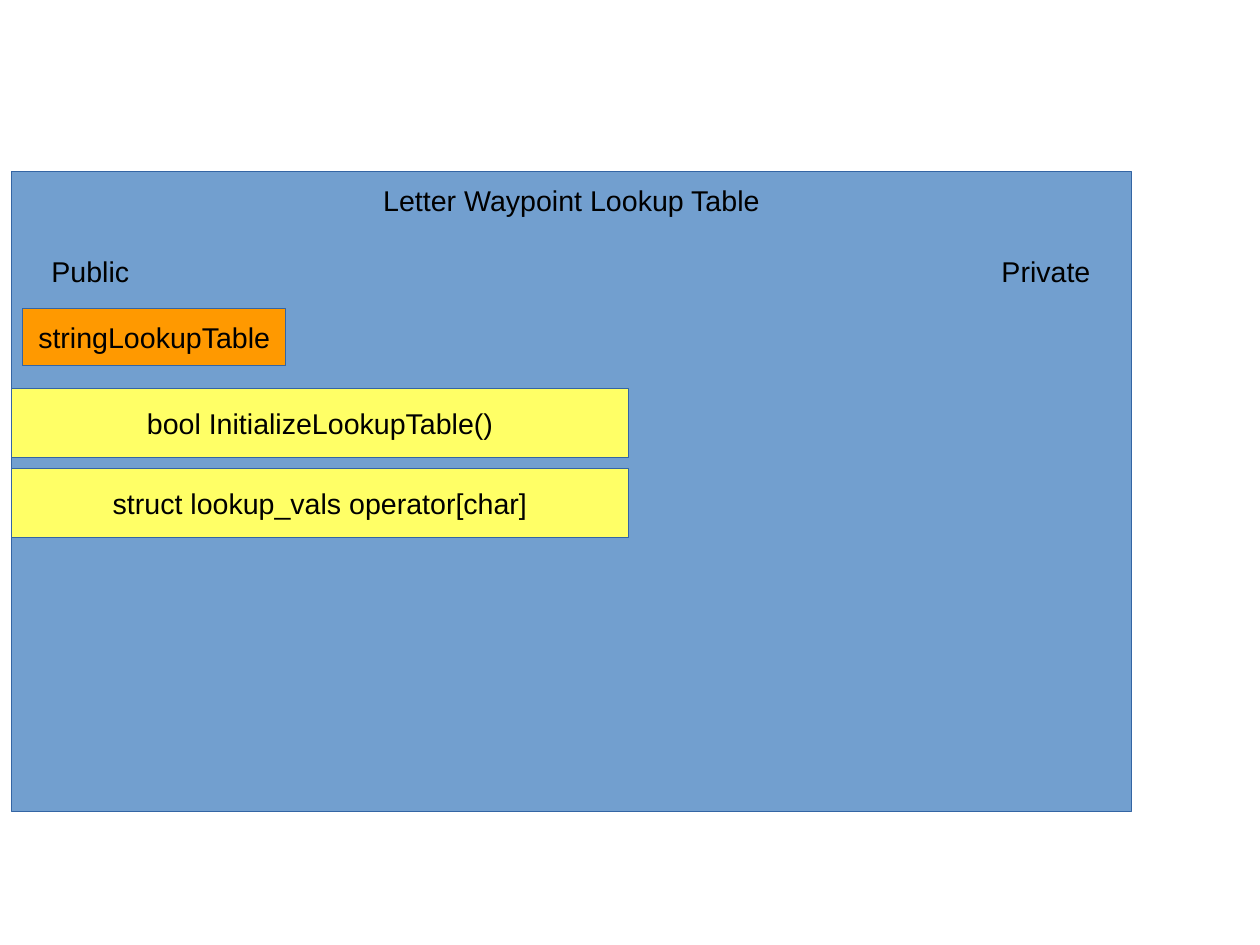
from lxml.etree import SubElement
from pptx import Presentation
from pptx.dml.color import RGBColor
from pptx.enum.shapes import MSO_SHAPE
from pptx.enum.text import MSO_ANCHOR, PP_ALIGN
from pptx.oxml.ns import qn
from pptx.util import Cm, Inches, Pt

CLASS_NAME = "Letter Waypoint Lookup Table"
SECTIONS = ["Public", "Private"]
MEMBER = "stringLookupTable"
METHODS = ["bool InitializeLookupTable()", "struct lookup_vals operator[char]"]

BLUE, YELLOW, ORANGE = "729FCF", "FFFF66", "FF9900"
OUTLINE, BLACK = "3465A4", "000000"

CLASS_LEFT, CLASS_TOP, CLASS_WIDTH, CLASS_HEIGHT = 0.1, 1.5, 9.8, 5.6
CLASS_SIDE_MARGIN, CLASS_TOP_MARGIN = 0.35, 0.1
PRIVATE_TAB = CLASS_WIDTH - 2 * CLASS_SIDE_MARGIN - 0.01
METHOD_TOP, METHOD_WIDTH, METHOD_HEIGHT, METHOD_GAP = 3.4, 5.4, 0.6, 0.1


def color(hex_value):
    return RGBColor.from_string(hex_value)


def add_box(slide, lines, fill, left, top, width, height):
    box = slide.shapes.add_shape(
        MSO_SHAPE.RECTANGLE, Inches(left), Inches(top), Inches(width), Inches(height))
    box.shadow.inherit = False
    box.fill.solid()
    box.fill.fore_color.rgb = color(fill)
    box.line.color.rgb = color(OUTLINE)
    box.line.width = Pt(0)
    frame = box.text_frame
    frame.text = "\n".join(lines)
    frame.word_wrap = True
    frame.vertical_anchor = MSO_ANCHOR.MIDDLE
    for paragraph in frame.paragraphs:
        paragraph.alignment = PP_ALIGN.CENTER
        for run in paragraph.runs:
            run.font.name = "Arial"
            run.font.size = Pt(18)
            run.font.color.rgb = color(BLACK)
    return box


def add_right_tab(paragraph, position):
    properties = paragraph._p.get_or_add_pPr()
    tabs = SubElement(properties, qn("a:tabLst"))
    SubElement(tabs, qn("a:tab"), pos=str(Inches(position)), algn="r")


def add_class_box(slide):
    """Draw the class with its name on top and its sections at either side."""
    box = add_box(slide, [CLASS_NAME, "\t".join(SECTIONS)], BLUE,
                  CLASS_LEFT, CLASS_TOP, CLASS_WIDTH, CLASS_HEIGHT)
    frame = box.text_frame
    frame.vertical_anchor = MSO_ANCHOR.TOP
    frame.margin_top = Inches(CLASS_TOP_MARGIN)
    frame.margin_left = frame.margin_right = Inches(CLASS_SIDE_MARGIN)
    section_line = frame.paragraphs[1]
    section_line.alignment = PP_ALIGN.LEFT
    section_line.space_before = Pt(23)
    add_right_tab(section_line, PRIVATE_TAB)


def main():
    presentation = Presentation()
    presentation.slide_width = Cm(28)
    presentation.slide_height = Cm(21)
    slide = presentation.slides.add_slide(presentation.slide_layouts[6])

    add_class_box(slide)
    for row, method in enumerate(METHODS):
        top = METHOD_TOP + row * (METHOD_HEIGHT + METHOD_GAP)
        add_box(slide, [method], YELLOW, CLASS_LEFT, top, METHOD_WIDTH, METHOD_HEIGHT)
    add_box(slide, [MEMBER], ORANGE, 0.2, 2.7, 2.3, 0.5)

    presentation.save("out.pptx")


if __name__ == "__main__":
    main()
